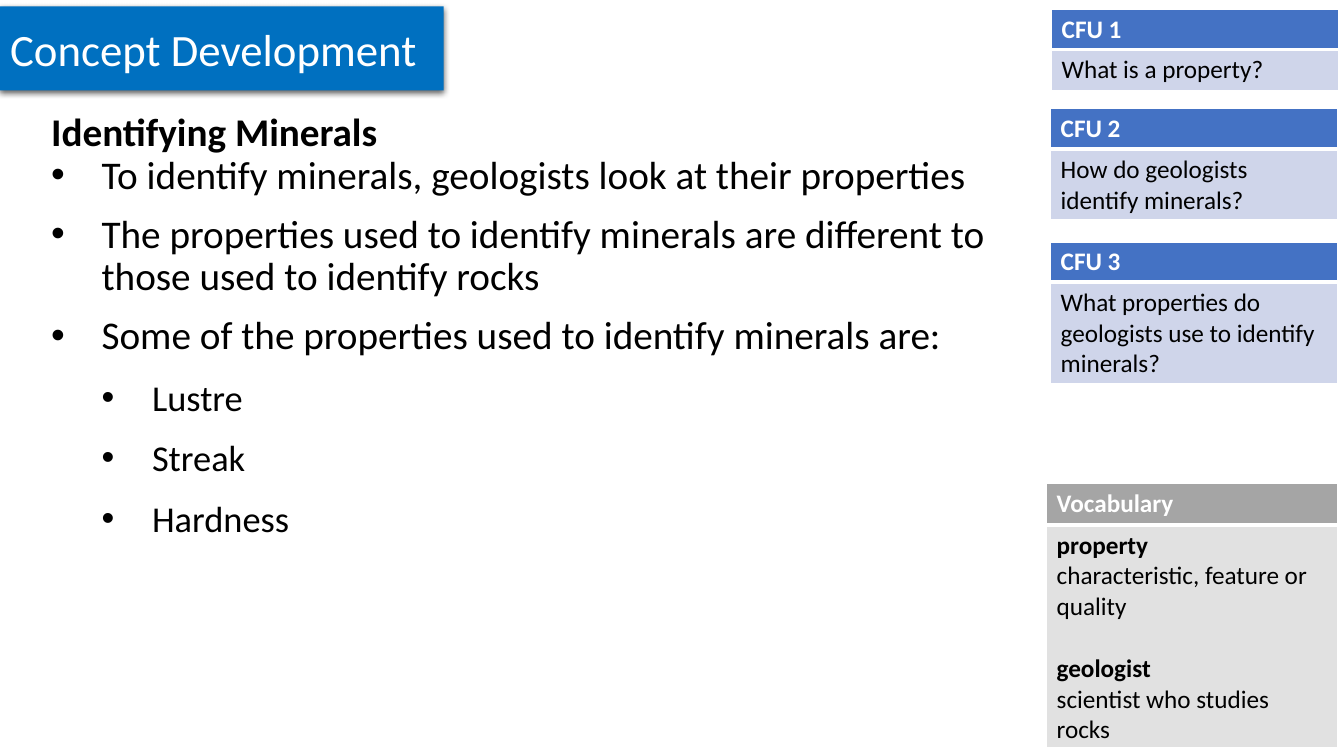
import pptx
import pptx.dml.color
import pptx.enum.text
import pptx.oxml
import pptx.oxml.ns
import pptx.util
from pptx.util import Inches

FONT = "Calibri"
WHITE, BLACK = "FFFFFF", "000000"
BLUE, PALE_BLUE = "4472C4", "CFD5EA"
GREY, PALE_GREY = "A5A5A5", "E1E1E1"
TITLE_BLUE = "0070C0"

HEADER_FORMAT = {"size": 18, "bold": True, "color": WHITE}
BODY_FORMAT = {"size": 18, "bold": False, "color": BLACK}
TERM_FORMAT = BODY_FORMAT | {"bold": True}
HEADING_FORMAT = {"size": 28, "bold": True, "color": BLACK}
POINT_FORMAT = HEADING_FORMAT | {"bold": False}
SUBPOINT_FORMAT = POINT_FORMAT | {"size": 26}


def color(hex_string):
    return pptx.dml.color.RGBColor.from_string(hex_string)


def set_fill(target, hex_string):
    target.fill.solid()
    target.fill.fore_color.rgb = color(hex_string)


def parse_drawing(xml):
    namespace = pptx.oxml.ns.nsdecls("a")
    return pptx.oxml.parse_xml(xml.replace(">", f" {namespace}>", 1))


def add_text(paragraph, text, text_format):
    run = paragraph.add_run()
    run.text = text
    values = {"name": FONT, "size": pptx.util.Pt(text_format["size"]),
              "bold": text_format["bold"]}
    for name, value in values.items():
        setattr(run.font, name, value)
    run.font.color.rgb = color(text_format["color"])


def fill_frame(frame, lines):
    """Write (text, text format, paragraph format) lines, one paragraph each."""
    for index, (text, text_format, paragraph_format) in enumerate(lines):
        paragraph = frame.paragraphs[0] if index == 0 else frame.add_paragraph()
        indent = paragraph_format.get("indent")
        if indent:
            properties = paragraph._p.get_or_add_pPr()
            properties.set("marL", str(Inches(indent)))
            properties.set("indent", str(Inches(-0.5)))
            properties.append(parse_drawing('<a:buFont typeface="Arial"></a:buFont>'))
            properties.append(parse_drawing('<a:buChar char="•"></a:buChar>'))
        for name, value in paragraph_format.items():
            if name != "indent":
                setattr(paragraph, name, value)
        add_text(paragraph, text, text_format)


def add_title(slide, text):
    title = slide.shapes.title
    box = {"left": 0, "top": 0.16, "width": 4.4, "height": 0.64}
    for name, value in box.items():
        setattr(title, name, Inches(value))
    # Pentagon banner with a soft shadow below
    properties = title._element.spPr
    properties.append(parse_drawing(
        '<a:prstGeom prst="homePlate"><a:avLst/></a:prstGeom>'))
    set_fill(title, TITLE_BLUE)
    properties.append(parse_drawing(
        '<a:effectLst><a:outerShdw blurRad="57150" dist="19050" dir="5400000" '
        'algn="ctr" rotWithShape="0"><a:srgbClr val="000000">'
        '<a:alpha val="63000"/></a:srgbClr></a:outerShdw></a:effectLst>'))
    frame = title.text_frame
    frame.word_wrap = False
    frame.auto_size = pptx.enum.text.MSO_AUTO_SIZE.SHAPE_TO_FIT_TEXT
    fill_frame(frame, [(text, {"size": 32, "bold": False, "color": WHITE},
                        {"alignment": pptx.enum.text.PP_ALIGN.LEFT,
                         "line_spacing": 1.0})])


def add_text_box(slide, left, top, width, height, lines):
    box = slide.shapes.add_textbox(Inches(left), Inches(top),
                                   Inches(width), Inches(height))
    box.text_frame.word_wrap = True
    fill_frame(box.text_frame, lines)


def set_borders(cell, widths):
    properties = cell._tc.get_or_add_tcPr()
    for index, (side, points) in enumerate(widths.items()):
        properties.insert(index, parse_drawing(
            f'<a:ln{side} w="{pptx.util.Pt(points)}"><a:solidFill>'
            f'<a:srgbClr val="{WHITE}"/></a:solidFill></a:ln{side}>'))


def add_card(slide, left, top, width, heights, fills, header, lines):
    """Add a two-row table: a coloured header over a pale body."""
    table = slide.shapes.add_table(2, 1, Inches(left), Inches(top), Inches(width),
                                   Inches(sum(heights))).table
    table.horz_banding = False
    contents = [[(header, HEADER_FORMAT, {})], lines]
    borders = [{"L": 1, "R": 1, "T": 1, "B": 3}, {"L": 1, "R": 1, "T": 3, "B": 1}]
    for row in range(2):
        table.rows[row].height = Inches(heights[row])
        cell = table.cell(row, 0)
        set_fill(cell, fills[row])
        set_borders(cell, borders[row])
        fill_frame(cell.text_frame, contents[row])


def main():
    presentation = pptx.Presentation()
    presentation.slide_width = Inches(13.33)
    presentation.slide_height = Inches(7.5)
    slide = presentation.slides.add_slide(presentation.slide_layouts[5])

    add_title(slide, "Concept Development")

    # Main points
    heading = {"line_spacing": 0.9}
    point = heading | {"indent": 0.5, "space_after": pptx.util.Pt(12)}
    subpoint = point | {"indent": 1, "level": 1, "line_spacing": 1.0}
    points = ["To identify minerals, geologists look at their properties",
              "The properties used to identify minerals are different to "
              "those used to identify rocks",
              "Some of the properties used to identify minerals are:"]
    add_text_box(slide, 0.41, 1.07, 9.76, 4.96, [
        ("Identifying Minerals", HEADING_FORMAT, heading),
        *[(text, POINT_FORMAT, point) for text in points],
        *[(text, SUBPOINT_FORMAT, subpoint)
          for text in ("Lustre", "Streak", "Hardness")]])

    # Questions that check for understanding
    questions = [(10.43, 0.09, 0.41, "What is a property?"),
                 (10.42, 1.08, 0.7, "How do geologists identify minerals?"),
                 (10.42, 2.4, 1.01,
                  "What properties do geologists use to identify minerals?")]
    for number, (left, top, height, question) in enumerate(questions, 1):
        add_card(slide, left, top, 2.85, (0.39, height), (BLUE, PALE_BLUE),
                 f"CFU {number}", [(question, BODY_FORMAT, {})])

    # Vocabulary
    add_card(slide, 10.38, 4.8, 2.89, (0.41, 1.9), (GREY, PALE_GREY), "Vocabulary", [
        ("property", TERM_FORMAT, {}),
        ("characteristic, feature or quality", BODY_FORMAT, {}),
        ("geologist", TERM_FORMAT, {"space_before": pptx.util.Pt(22)}),
        ("scientist who studies rocks", BODY_FORMAT, {})])

    presentation.save("out.pptx")


if __name__ == "__main__":
    main()
